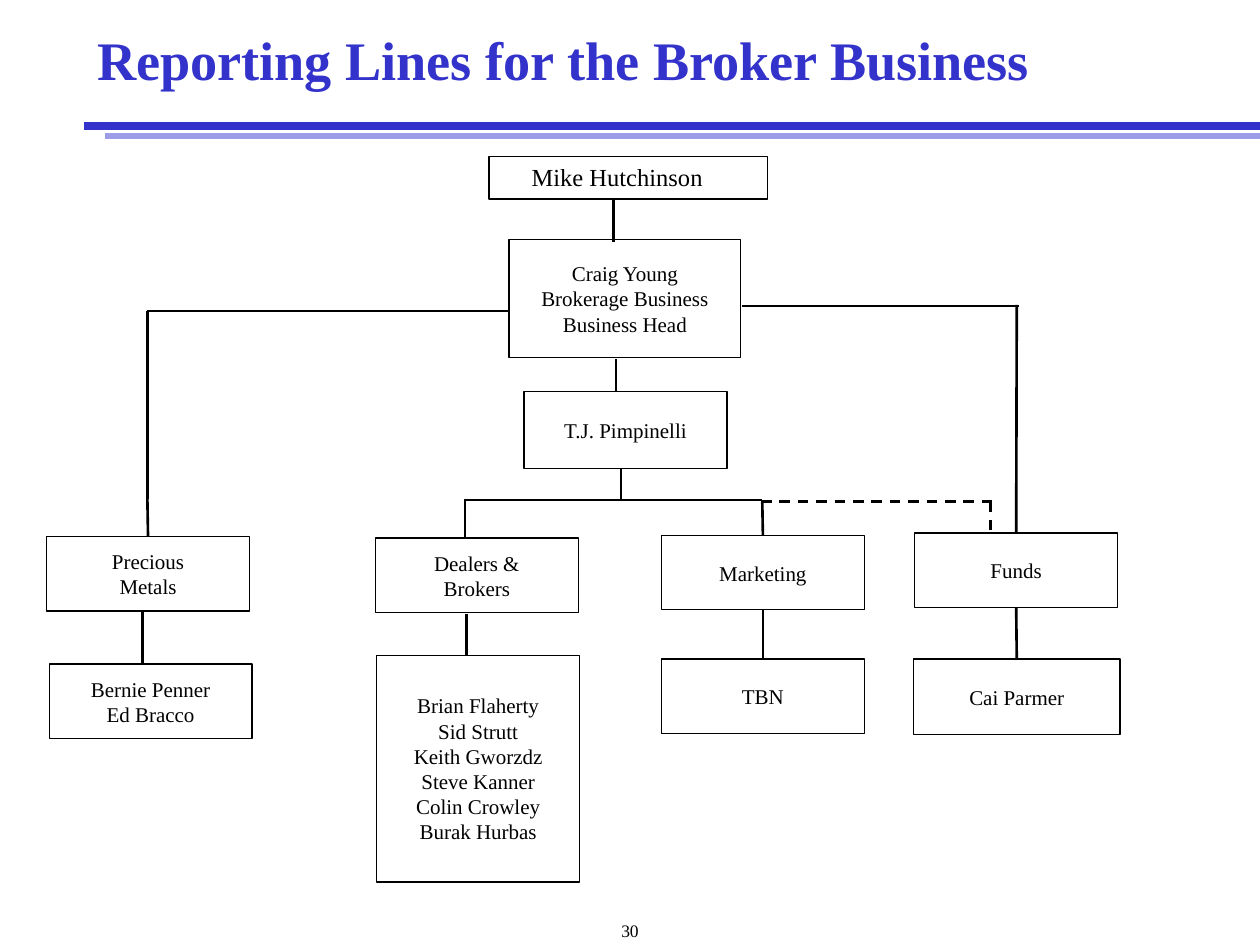
"""Build the organisation chart of reporting lines for the broker business."""
from dataclasses import dataclass

from pptx import Presentation
from pptx import util as u
from pptx.dml.color import RGBColor
from pptx.enum import dml, shapes, text
from pptx.oxml import parse_xml
from pptx.oxml.ns import nsdecls

TOP, BOTTOM = 0, 2


@dataclass(frozen=True)
class Theme:
    font: str = "Times New Roman"
    ink: str = "000000"
    paper: str = "FFFFFF"
    accent: str = "3333CC"
    accent_light: str = "9D9DE7"
    title_size: float = 31
    lead_size: float = 14
    box_size: float = 12
    number_size: float = 10
    border: float = 0.75
    link: float = 1.5


class ChartPage:
    def __init__(self, deck, theme):
        self.theme = theme
        self.page = deck.slides.add_slide(deck.slide_layouts[5])

    def set_text(self, frame, content, size, color, align, bold=False):
        frame.text = content
        for para in frame.paragraphs:
            para.alignment = align
            for span in para.runs:
                span.font.name = self.theme.font
                span.font.size = u.Pt(size)
                span.font.bold = bold
                span.font.color.rgb = RGBColor.from_string(color)

    def title(self, content, left, top, width, height):
        box = self.page.shapes.title
        box.left, box.top, box.width, box.height = map(u.Inches, (left, top, width, height))
        frame = box.text_frame
        frame.auto_size = text.MSO_AUTO_SIZE.NONE
        frame.vertical_anchor = text.MSO_ANCHOR.MIDDLE
        self.set_text(frame, content, self.theme.title_size, self.theme.accent,
                      text.PP_ALIGN.LEFT, bold=True)
        para = frame.paragraphs[0]
        para.line_spacing = 0.9
        properties = para._p.get_or_add_pPr()
        properties.set("marL", str(u.Inches(0.5)))
        properties.set("indent", str(u.Inches(-0.5)))

    def box(self, content, left, top, width=1.61, height=0.59):
        box = self.page.shapes.add_shape(
            shapes.MSO_SHAPE.RECTANGLE, *map(u.Inches, (left, top, width, height)))
        box.shadow.inherit = False
        box.fill.solid()
        box.fill.fore_color.rgb = RGBColor.from_string(self.theme.paper)
        box.line.color.rgb = RGBColor.from_string(self.theme.ink)
        box.line.width = u.Pt(self.theme.border)
        frame = box.text_frame
        frame.word_wrap = False
        frame.vertical_anchor = text.MSO_ANCHOR.MIDDLE
        self.set_text(frame, content, self.theme.box_size, self.theme.ink, text.PP_ALIGN.CENTER)
        return box

    def lead_box(self, content, left, top, width, height):
        box = self.box(content, left, top, width, height)
        box.fill.background()
        frame = box.text_frame
        frame.word_wrap = True
        frame.vertical_anchor = text.MSO_ANCHOR.TOP
        self.set_text(frame, content, self.theme.lead_size, self.theme.ink, text.PP_ALIGN.LEFT)
        frame.paragraphs[0]._p.get_or_add_pPr().set("marL", str(u.Inches(0.24)))

    def line(self, x1, y1, x2, y2, start=None, end=None, color=None, width=None, dashed=False):
        line = self.page.shapes.add_connector(
            shapes.MSO_CONNECTOR.STRAIGHT, *map(u.Inches, (x1, y1, x2, y2)))
        line.line.color.rgb = RGBColor.from_string(color or self.theme.ink)
        line.line.width = u.Pt(width or self.theme.link)
        if dashed:
            line.line.dash_style = dml.MSO_LINE.DASH
        line._element.spPr.append(parse_xml(f"<a:effectLst {nsdecls('a')}/>"))
        if start:
            line.begin_connect(start, BOTTOM)
        if end:
            line.end_connect(end, TOP)

    def number(self, content, left, top, width, height):
        box = self.page.shapes.add_textbox(*map(u.Inches, (left, top, width, height)))
        box.text_frame.word_wrap = True
        self.set_text(box.text_frame, content, self.theme.number_size, self.theme.ink,
                      text.PP_ALIGN.CENTER)


def main():
    deck = Presentation()
    deck.slide_width, deck.slide_height = u.Inches(10), u.Inches(7.5)
    theme = Theme()
    chart = ChartPage(deck, theme)

    chart.line(10, 1, 0.67, 1, color=theme.accent, width=4.5)
    chart.line(10, 1.08, 0.83, 1.08, color=theme.accent_light, width=3)
    chart.title("Reporting Lines for the Broker Business", 0.67, 0, 9.08, 1)

    chart.lead_box("Mike Hutchinson", 3.88, 1.24, 2.21, 0.34)
    chart.box("Craig Young\nBrokerage Business\nBusiness Head", 4.04, 1.9, 1.84, 0.94)
    chart.box("T.J. Pimpinelli", 4.16, 3.11, height=0.61)

    metals = chart.box("Precious\nMetals", 0.37, 4.26)
    chart.box("Dealers &\nBrokers", 2.98, 4.27)
    marketing = chart.box("Marketing", 5.25, 4.25)
    funds = chart.box("Funds", 7.26, 4.23)

    chart.box("Bernie Penner\nEd Bracco", 0.39, 5.27)
    chart.box("Brian Flaherty\nSid Strutt\nKeith Gworzdz\nSteve Kanner\n"
              "Colin Crowley\nBurak Hurbas", 2.99, 5.2, height=1.8)
    marketing_staff = chart.box("TBN", 5.25, 5.23)
    funds_staff = chart.box("Cai Parmer", 7.25, 5.23, 1.64, 0.6)

    for ends in (
        (4.87, 1.59, 4.87, 1.92),
        (4.89, 2.85, 4.89, 3.11),
        (4.93, 3.72, 4.93, 3.98),
        (4.94, 3.97, 3.68, 3.97),
        (4.92, 3.97, 6.05, 3.97),
        (1.17, 3.96, 1.17, 2.47),
        (1.17, 2.47, 4.04, 2.47),
        (5.89, 2.43, 8.09, 2.43),
        (3.69, 3.97, 3.69, 4.27),
        (3.7, 4.87, 3.7, 5.21),
        (1.13, 4.86, 1.13, 5.28),
    ):
        chart.line(*ends)

    chart.line(1.17, 3.96, 1.17, 4.26, end=metals)
    chart.line(6.05, 3.99, 6.05, 4.25, end=marketing)
    chart.line(8.07, 2.42, 8.07, 4.23, end=funds)
    chart.line(6.05, 4.84, 6.05, 5.23, start=marketing, end=marketing_staff)
    chart.line(8.07, 4.82, 8.07, 5.23, start=funds, end=funds_staff)
    chart.line(6.04, 3.98, 7.91, 3.98, dashed=True)
    chart.line(7.86, 3.98, 7.86, 4.23, dashed=True)

    chart.number("30", 0, 7.25, 10, 0.17)
    deck.save("out.pptx")


if __name__ == "__main__":
    main()
